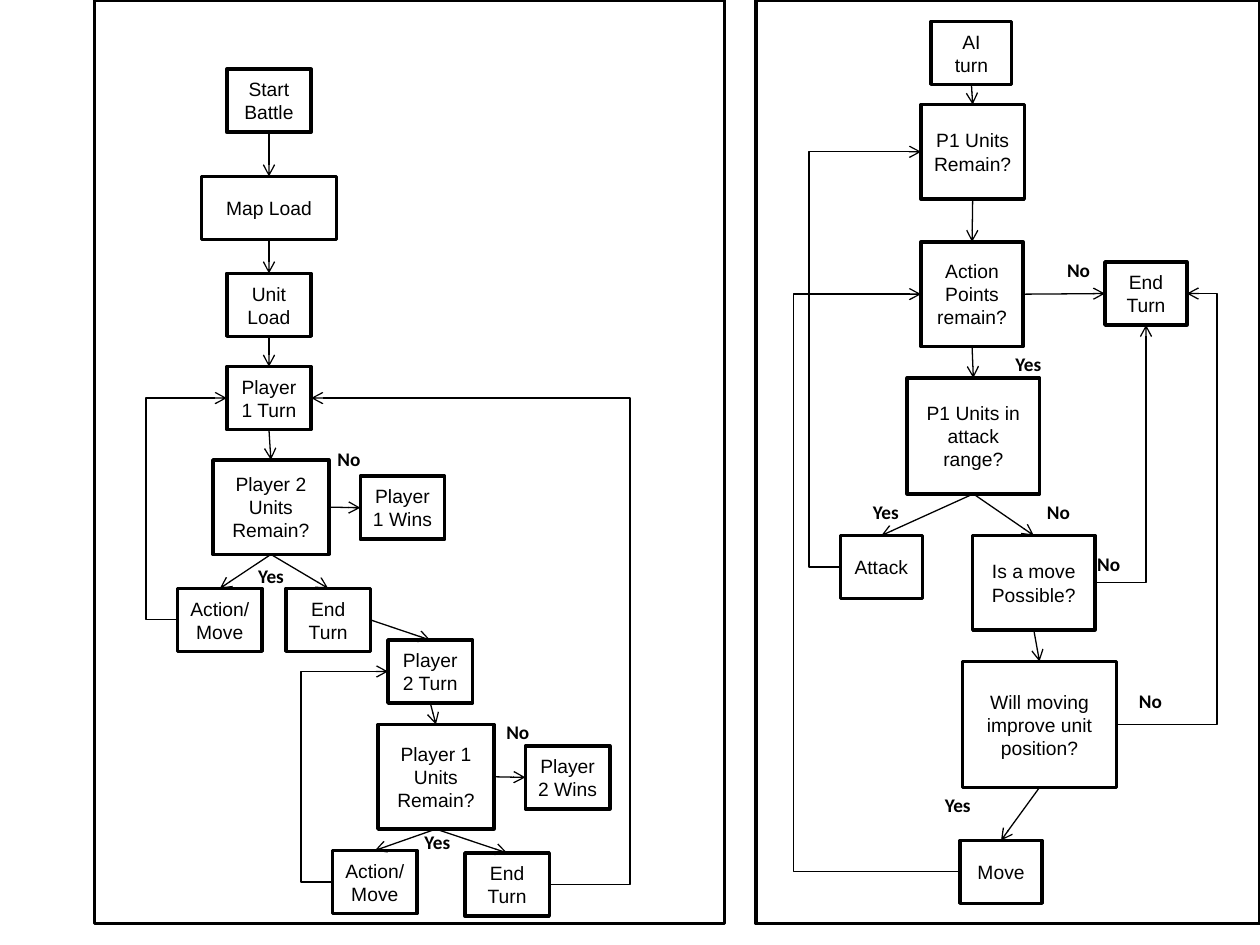
"""Build a slide with two flowcharts: the battle loop and the AI turn."""
import enum
from dataclasses import dataclass
from typing import Any, Optional

import lxml.etree
import pptx
import pptx.dml.color
import pptx.enum.shapes
import pptx.enum.text
import pptx.oxml.ns
import pptx.util

Inches = pptx.util.Inches
Pt = pptx.util.Pt
qn = pptx.oxml.ns.qn

BLACK, WHITE = "000000", "FFFFFF"
BOX_FONT = {"name": "Arial", "size": Pt(11)}
LABEL_FONT = {"name": "Calibri", "size": Pt(11), "bold": True}
BOX_FRAME = {"word_wrap": True, "vertical_anchor": pptx.enum.text.MSO_ANCHOR.MIDDLE}


class Side(enum.IntEnum):
    TOP = 0
    LEFT = 1
    BOTTOM = 2
    RIGHT = 3


T, L, B, R = Side


@dataclass
class Box:
    text: str
    x: float
    y: float
    w: float = 0.67
    h: float = 0.5

    def site(self, side: Side) -> tuple[float, float]:
        return {
            T: (self.x + self.w / 2, self.y),
            L: (self.x, self.y + self.h / 2),
            B: (self.x + self.w / 2, self.y + self.h),
            R: (self.x + self.w, self.y + self.h / 2),
        }[side]


@dataclass
class Link:
    start: str
    end: str
    start_side: Side = B
    end_side: Side = T
    via_x: Optional[float] = None
    corner: bool = False


@dataclass
class Label:
    text: str
    x: float
    y: float


@dataclass
class Chart:
    frame: Box
    boxes: dict[str, Box]
    links: list[Link]
    labels: list[Label]
    label_w: float


BATTLE = Chart(
    frame=Box("", 0.75, 0, 5, 7.33),
    boxes={
        "start": Box("Start\nBattle", 1.8, 0.55),
        "map": Box("Map Load", 1.6, 1.4, 1.07),
        "unit": Box("Unit Load", 1.8, 2.17),
        "turn1": Box("Player 1 Turn", 1.8, 2.91),
        "check2": Box("Player 2 Units Remain?", 1.69, 3.65, 0.92, 0.75),
        "win1": Box("Player 1 Wins", 2.86, 3.78),
        "act1": Box("Action/ Move", 1.41, 4.67),
        "end1": Box("End Turn", 2.27, 4.67),
        "turn2": Box("Player 2 Turn", 3.08, 5.08),
        "check1": Box("Player 1 Units Remain?", 3, 5.75, 0.92, 0.83),
        "win2": Box("Player 2 Wins", 4.17, 5.92),
        "end2": Box("End Turn", 3.69, 6.77),
        "act2": Box("Action/ Move", 2.64, 6.75),
    },
    links=[
        Link("start", "map"),
        Link("map", "unit"),
        Link("unit", "turn1"),
        Link("turn1", "check2"),
        Link("check2", "win1", R, L),
        Link("check2", "act1"),
        Link("check2", "end1"),
        Link("end1", "turn2", R, T),
        Link("turn2", "check1"),
        Link("check1", "win2", R, L),
        Link("check1", "act2"),
        Link("check1", "end2"),
        Link("act1", "turn1", L, L, via_x=1.16),
        Link("act2", "turn2", L, L, via_x=2.39),
        Link("end2", "turn1", R, R, via_x=5),
    ],
    labels=[
        Label("No", 3.92, 5.67),
        Label("No", 2.58, 3.5),
        Label("Yes", 1.95, 4.43),
        Label("Yes", 3.27, 6.54),
    ],
    label_w=0.67,
)

AI = Chart(
    frame=Box("", 6, 0, 4, 7.33),
    boxes={
        "ai": Box("AI turn", 7.39, 0.17, 0.64),
        "units": Box("P1 Units Remain?", 7.31, 0.83, 0.82, 0.75),
        "range": Box("P1 Units in attack range?", 7.2, 3, 1.05, 0.92),
        "attack": Box("Attack", 6.67, 4.25, 0.65),
        "points": Box("Action Points remain?", 7.31, 1.92, 0.81, 0.83),
        "possible": Box("Is a move Possible?", 7.72, 4.25, 0.97, 0.75),
        "improve": Box("Will moving improve unit position?", 7.64, 5.25, 1.22, 1),
        "move": Box("Move", 7.62, 6.67, 0.65),
        "end": Box("End Turn", 8.77, 2.08, 0.65),
    },
    links=[
        Link("ai", "units"),
        Link("units", "points"),
        Link("points", "range"),
        Link("range", "attack"),
        Link("range", "possible"),
        Link("possible", "improve"),
        Link("improve", "move"),
        Link("points", "end", R, L),
        Link("improve", "end", R, R, via_x=9.66),
        Link("attack", "units", L, L, via_x=6.42),
        Link("move", "points", L, L, via_x=6.3),
        Link("possible", "end", R, B, corner=True),
    ],
    labels=[
        Label("No", 8.37, 2),
        Label("No", 8.21, 3.92),
        Label("No", 8.94, 5.42),
        Label("Yes", 7.4, 6.25),
        Label("Yes", 6.83, 3.92),
        Label("Yes", 7.96, 2.75),
        Label("No", 8.61, 4.33),
    ],
    label_w=0.65,
)


def rgb(value: str) -> Any:
    """Turn a hex string into a colour."""
    return pptx.dml.color.RGBColor.from_string(value)


def apply(obj: Any, values: dict[str, Any]) -> None:
    """Set each named attribute on an object."""
    for name, value in values.items():
        setattr(obj, name, value)


def write(tf: Any, text: str, font: dict[str, Any], align: Any = None) -> None:
    """Fill a text frame, one paragraph a line."""
    tf.text = text
    for p in tf.paragraphs:
        p.alignment = align
        for r in p.runs:
            apply(r.font, font)
            r.font.color.rgb = rgb(BLACK)


def draw_box(shapes: Any, box: Box) -> Any:
    """Draw an outlined rectangle with centred text."""
    sp = shapes.add_shape(pptx.enum.shapes.MSO_SHAPE.RECTANGLE,
                          Inches(box.x), Inches(box.y), Inches(box.w), Inches(box.h))
    sp.shadow.inherit = False
    sp.fill.solid()
    sp.fill.fore_color.rgb = rgb(WHITE)
    sp.line.color.rgb = rgb(BLACK)
    sp.line.width = Pt(2)
    if box.text:
        apply(sp.text_frame, BOX_FRAME)
        write(sp.text_frame, box.text, BOX_FONT, pptx.enum.text.PP_ALIGN.CENTER)
    return sp


def draw_link(shapes: Any, link: Link, boxes: dict[str, Box], drawn: dict[str, Any]) -> None:
    """Join two boxes with a straight or bent arrow."""
    x1, y1 = boxes[link.start].site(link.start_side)
    x2, y2 = boxes[link.end].site(link.end_side)
    bent = link.corner or link.via_x is not None
    kinds = pptx.enum.shapes.MSO_CONNECTOR
    cxn = shapes.add_connector(kinds.ELBOW if bent else kinds.STRAIGHT,
                               Inches(x1), Inches(y1), Inches(x2), Inches(y2))
    cxn.begin_connect(drawn[link.start], link.start_side.value)
    cxn.end_connect(drawn[link.end], link.end_side.value)
    cxn.line.color.rgb = rgb(BLACK)
    cxn.line.width = Pt(0.75)
    sppr = cxn._element.spPr
    lxml.etree.SubElement(sppr.find(qn("a:ln")), qn("a:tailEnd"), type="arrow")
    lxml.etree.SubElement(sppr, qn("a:effectLst"))
    geom = sppr.find(qn("a:prstGeom"))
    if link.corner:
        geom.set("prst", "bentConnector2")
    elif link.via_x is not None:
        bend = round((link.via_x - x1) / (x2 - x1) * 100000)
        lxml.etree.SubElement(geom.find(qn("a:avLst")), qn("a:gd"), name="adj1", fmla=f"val {bend}")


def draw_chart(shapes: Any, chart: Chart) -> None:
    """Draw a framed flowchart."""
    draw_box(shapes, chart.frame)
    drawn = {key: draw_box(shapes, box) for key, box in chart.boxes.items()}
    for link in chart.links:
        draw_link(shapes, link, chart.boxes, drawn)
    for label in chart.labels:
        sp = shapes.add_textbox(Inches(label.x), Inches(label.y), Inches(chart.label_w), Inches(0.29))
        sp.text_frame.word_wrap = True
        write(sp.text_frame, label.text, LABEL_FONT)


prs = pptx.Presentation()
apply(prs, {"slide_width": Inches(10), "slide_height": Inches(7.5)})
s = prs.slides.add_slide(prs.slide_layouts[6])
draw_chart(s.shapes, BATTLE)
draw_chart(s.shapes.add_group_shape().shapes, AI)
prs.save("out.pptx")
